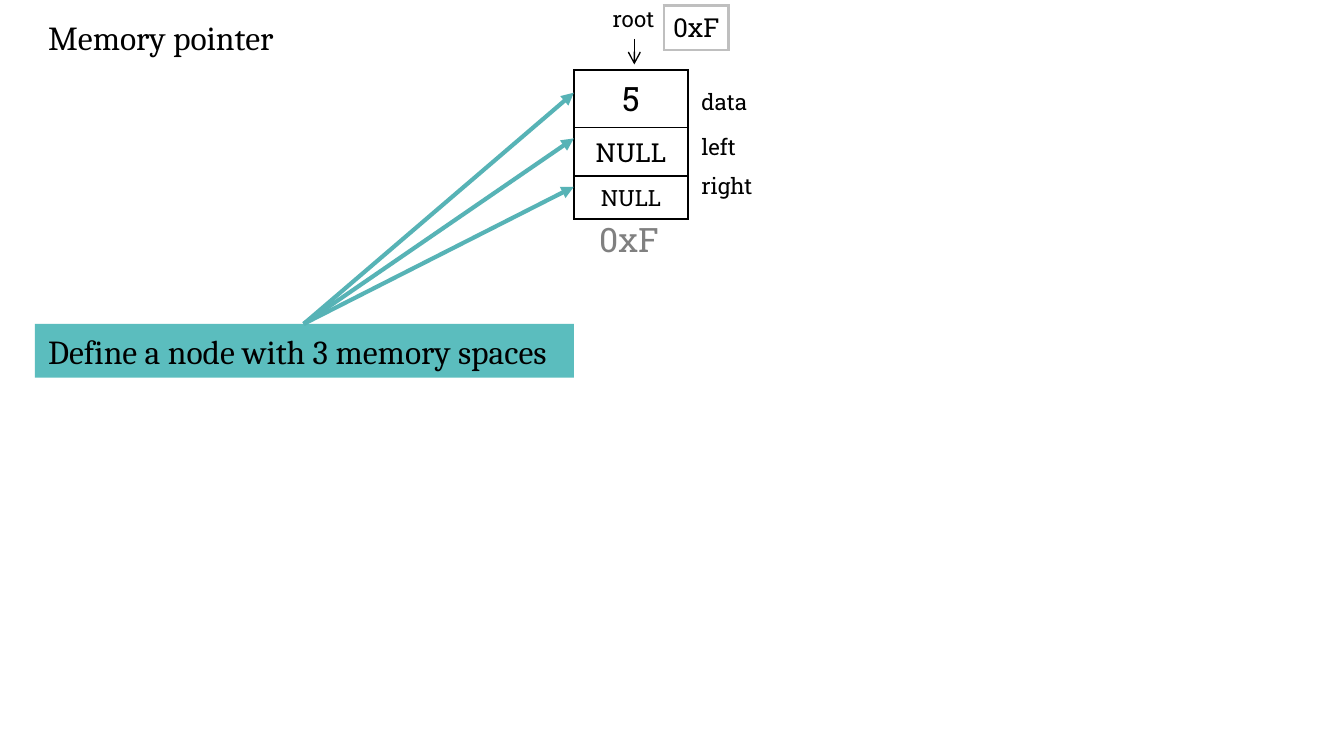
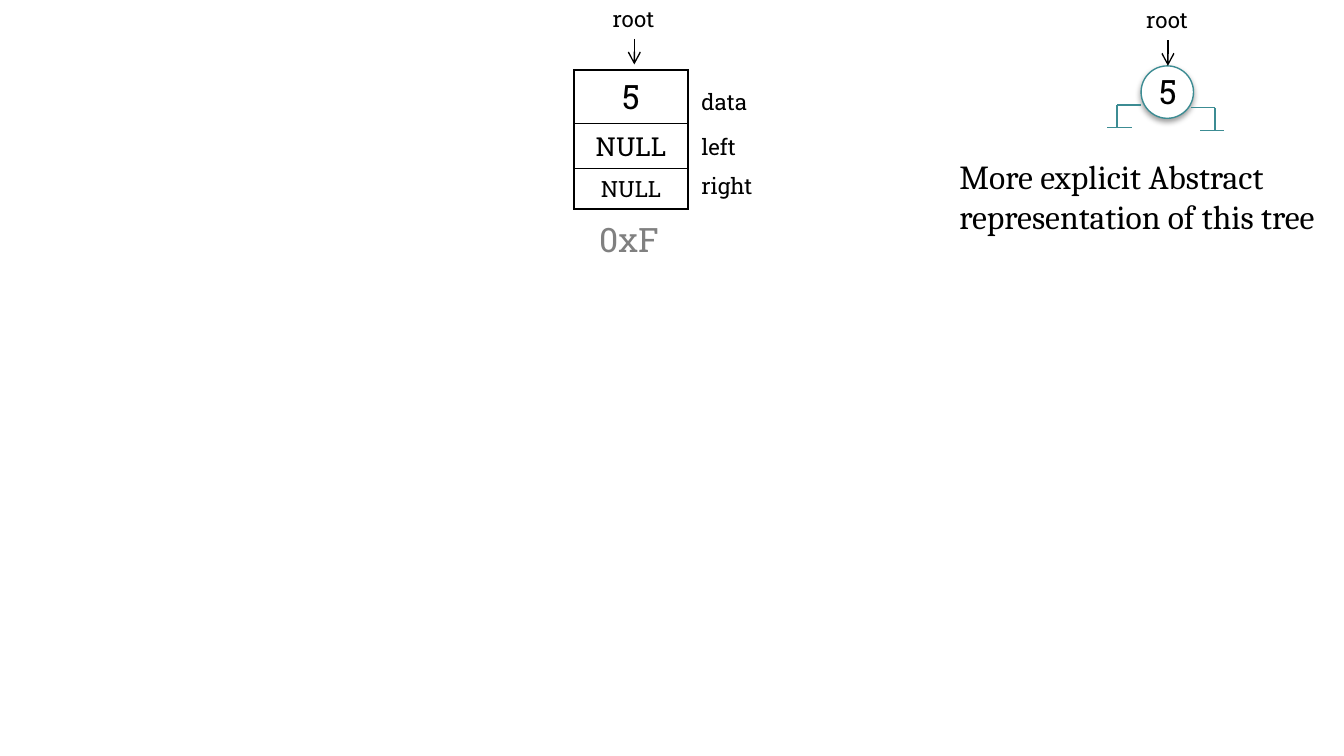
from pptx import Presentation
from pptx import util as u
from pptx.dml.color import RGBColor
from pptx.enum import shapes, text
from pptx.oxml import parse_xml
from pptx.oxml.ns import nsdecls, qn

COLORS = {
    "ink": "000000", "paper": "FFFFFF", "grey": "808080", "frame": "BFBFBF",
    "band": "5BBDBE", "ray": "57B3B6", "tree": "3C8C93",
}
SLAB, SERIF = "Roboto Slab", "Cambria"
WIDTH, HEIGHT = u.Inches(10), u.Inches(5.625)
CELL = WIDTH / 100  # square grid: 100 columns across the slide


def grid(*nums):
    return [u.Emu(round(n * CELL)) for n in nums]


def color(name):
    return RGBColor.from_string(COLORS[name])


def write(frame, words, size, font=SLAB, ink="ink", align=text.PP_ALIGN.LEFT):
    frame.text = words
    for para in frame.paragraphs:
        para.alignment = align
        for run in para.runs:
            run.font.size = u.Pt(size)
            run.font.name = font
            run.font.color.rgb = color(ink)


def label(slide, words, box, size=12, wrap=False, **style):
    shape = slide.shapes.add_textbox(*grid(*box))
    shape.text_frame.word_wrap = wrap
    write(shape.text_frame, words, size, **style)


def line(slide, start, end, ink="ink", width=0.75, head=None):
    link = slide.shapes.add_connector(
        shapes.MSO_CONNECTOR.STRAIGHT, *grid(*start, *end))
    link.line.color.rgb = color(ink)
    link.line.width = u.Pt(width)
    if head:
        link.line._get_or_add_ln().append(
            parse_xml(f'<a:tailEnd {nsdecls("a")} type="{head}"/>'))
    link._element.spPr.append(parse_xml(f'<a:effectLst {nsdecls("a")}/>'))


def border(cell, ink, width):
    props = cell._tc.get_or_add_tcPr()
    for side in "LRTB":
        props.append(parse_xml(
            f'<a:ln{side} {nsdecls("a")} w="{u.Pt(width)}"><a:solidFill>'
            f'<a:srgbClr val="{COLORS[ink]}"/></a:solidFill></a:ln{side}>'))


def stack(slide, x, y, width, rows, ink="ink", edge=1):
    """One-column table; each row is (words, text size, height)."""
    total = sum(high for _, _, high in rows)
    table = slide.shapes.add_table(
        len(rows), 1, *grid(x, y, width, total)).table
    table.first_row = table.horz_banding = False
    for i, (words, size, high) in enumerate(rows):
        table.rows[i].height = grid(high)[0]
        cell = table.cell(i, 0)
        border(cell, ink, edge)
        cell.fill.background()
        cell.margin_left = cell.margin_right = 0
        cell.margin_top = cell.margin_bottom = grid(0.2)[0]
        cell.vertical_anchor = text.MSO_ANCHOR.MIDDLE
        write(cell.text_frame, words, size, align=text.PP_ALIGN.CENTER)


def root(slide, x, y):
    label(slide, "root", (x, y, 5.2, 3))
    line(slide, (x + 2.6, y + 3), (x + 2.6, y + 4.9), head="arrow")


def node(slide, highs):
    """The memory node with its field names, address and root pointer."""
    stack(slide, 42.7, 5.2, 8.5,
          list(zip(("5", "NULL", "NULL"), (18, 14, 12), highs)))
    label(slide, "0xF", (43.6, 15.8, 6.5, 4), 18, ink="grey")
    for name, y, width in (("data", 6.1, 5.5), ("left", 9.4, 4.6),
                           ("right", 12.3, 5.9)):
        label(slide, name, (51.2, y, width, 3))
    root(slide, 44.6, -0.1)


def fork(slide, x, y, way):
    """An empty branch: arm, foot and stem; way is -1 left, 1 right."""
    bend, low = x + 1.8 * way, y + 1.7
    for start, end in (((x, y), (bend, y)),
                       ((x + 0.7 * way, low), (x + 2.5 * way, low)),
                       ((bend, y), (bend, low))):
        line(slide, start, end, "tree")


def form(slide, kind, box, fill, edge=None):
    shape = slide.shapes.add_shape(kind, *grid(*box))
    shape.shadow.inherit = False
    shape.fill.solid()
    shape.fill.fore_color.rgb = color(fill)
    if edge:
        shape.line.color.rgb = color(edge)
        shape.line.width = u.Pt(0.75)
    else:
        shape.line.fill.background()
    return shape


def shade(shape):
    glow = shape._element.spPr.find(qn("a:effectLst"))
    glow.append(parse_xml(
        f'<a:outerShdw {nsdecls("a")} blurRad="{u.Pt(3.1)}" '
        f'dist="{u.Pt(1.6)}" dir="5400000" rotWithShape="0">'
        f'<a:srgbClr val="{COLORS["ink"]}"><a:alpha val="38000"/>'
        '</a:srgbClr></a:outerShdw>'))


def memory(slide):
    node(slide, (4.3, 3.6, 3.2))
    stack(slide, 49.4, 0.4, 4.8, [("0xF", 14, 3.3)], "frame", 1.5)
    label(slide, "Memory pointer", (2.6, 0.8, 21.2, 4), 18, True, font=SERIF)

    # Banner with a ray to each memory space
    band = form(slide, shapes.MSO_SHAPE.RECTANGLE, (2.6, 24.1, 40.1, 4), "band")
    band.text_frame.word_wrap = True
    write(band.text_frame, "Define a node with 3 memory spaces", 18, SERIF)
    for y in (6.9, 10.3, 13.9):
        line(slide, (22.6, 24.1), (42.7, y), "ray", 2.25, "triangle")


def tree(slide):
    # Abstract tree
    ball = form(slide, shapes.MSO_SHAPE.OVAL, (84.9, 4.9, 3.9, 3.9),
                "paper", "tree")
    shade(ball)
    root(slide, 84.3, 0)
    fork(slide, 88.6, 8, 1)
    fork(slide, 84.9, 7.8, -1)
    label(slide, "5", (85.2, 4.8, 3.4, 4), 18, align=text.PP_ALIGN.CENTER)

    # Memory view and caption
    node(slide, (4, 3.35, 3))
    label(slide, "More explicit Abstract representation of this tree",
          (70.4, 11.1, 37, 7.1), 18, True, font=SERIF)


def main():
    deck = Presentation()
    deck.slide_width, deck.slide_height = WIDTH, HEIGHT
    for draw in (memory, tree):
        draw(deck.slides.add_slide(deck.slide_layouts[6]))
    deck.save("out.pptx")


if __name__ == "__main__":
    main()
